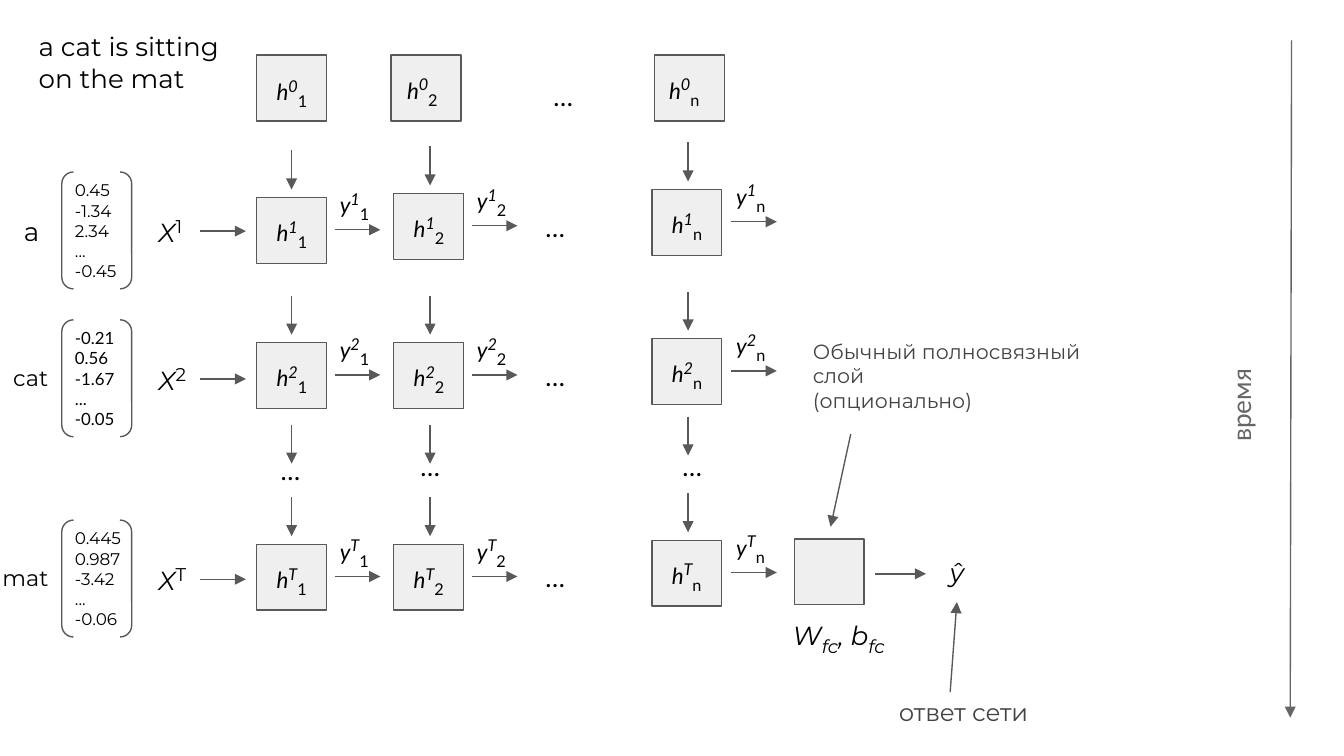
from pptx import Presentation, util as u
from pptx.dml import color
from pptx.enum import shapes, text
from pptx.oxml import ns, xmlchemy

PX = 9144
COLORS = {"ink": "000000", "line": "595959", "box": "EFEFEF",
          "note": "434343", "time": "666666"}
LATO, MONTSERRAT = "Lato", "Montserrat"
ELLIPSIS = "…"
BOX_WIDTH, BOX_HEIGHT = 52, 49


class Diagram:
    def __init__(self, slide):
        self.slide = slide

    def rgb(self, name):
        return color.RGBColor.from_string(COLORS[name])

    def scaled(self, *lengths):
        return [u.Emu(length * PX) for length in lengths]

    def shape(self, kind, left, top, width, height, fill=None):
        shape = self.slide.shapes.add_shape(
            kind, *self.scaled(left, top, width, height))
        shape.shadow.inherit = False
        if fill:
            shape.fill.solid()
            shape.fill.fore_color.rgb = self.rgb(fill)
        else:
            shape.fill.background()
        shape.line.color.rgb = self.rgb("line")
        shape.line.width = u.Pt(0.75)

    def box(self, left, top):
        self.shape(shapes.MSO_SHAPE.RECTANGLE, left, top,
                   BOX_WIDTH, BOX_HEIGHT, "box")

    def bracket(self, left, top):
        self.shape(shapes.MSO_SHAPE.DOUBLE_BRACKET, left, top, 52, 87)

    def arrow(self, x1, y1, x2, y2, ink="line"):
        line = self.slide.shapes.add_connector(
            shapes.MSO_CONNECTOR.STRAIGHT, *self.scaled(x1, y1, x2, y2))
        line.line.color.rgb = self.rgb(ink)
        line.line.width = u.Pt(0.75)
        outline = line.line._get_or_add_ln()
        head = xmlchemy.OxmlElement("a:tailEnd")
        head.set("type", "triangle")
        outline.append(head)
        line._element.find(ns.qn("p:spPr")).append(
            xmlchemy.OxmlElement("a:effectLst"))

    def text(self, left, top, width, height, paragraphs, font, ink="ink",
             rotation=0):
        box = self.slide.shapes.add_textbox(
            *self.scaled(left, top, width, height))
        box.rotation = rotation
        frame = box.text_frame
        frame.word_wrap = True
        frame.auto_size = text.MSO_AUTO_SIZE.SHAPE_TO_FIT_TEXT
        frame.margin_left = frame.margin_right = u.Emu(10 * PX)
        frame.margin_top = frame.margin_bottom = u.Emu(10 * PX)
        for index, runs in enumerate(paragraphs):
            paragraph = frame.add_paragraph() if index else frame.paragraphs[0]
            for words, size, italic, baseline in runs:
                run = paragraph.add_run()
                run.text = words
                run.font.name = font
                run.font.size = u.Pt(size)
                run.font.italic = italic
                run.font.color.rgb = self.rgb(ink)
                if baseline:
                    run._r.get_or_add_rPr().set(
                        "baseline", str(baseline * 1000))

    def plain(self, left, top, width, height, lines, size, font, ink="ink",
              rotation=0):
        self.text(left, top, width, height,
                  [[(line, size, False, 0)] for line in lines],
                  font, ink, rotation)

    def symbol(self, left, top, width, letter, step, unit):
        self.text(left, top, width, 45,
                  [[(letter, 12, True, 0), (step, 15, True, 30),
                    (unit, 15, False, -25)]], LATO)

    def ellipsis(self, left, top):
        self.plain(left, top, 36, 44, [ELLIPSIS], 14, LATO)

    def input_row(self, step, top, values, font):
        self.bracket(46, top)
        self.plain(46, top - 4, 84, 96, values, 9, font)
        self.text(108, top + 19, 60, 49,
                  [[("X", 14, True, 0), (step, 17, False, 30)]], MONTSERRAT)
        self.arrow(149, top + 44, 183, top + 44)

    def cell(self, step, unit, left, top, center, output):
        self.arrow(center, top - 35, center, top - 6)
        self.box(left, top)
        self.symbol(left + 5, top + 2, 58, "h", step, unit)
        self.arrow(output, top + 24, output + 34, top + 24)
        self.symbol(output - 6, top - 19, 67, "y", step, unit)


def main():
    presentation = Presentation()
    presentation.slide_width = u.Emu(1000 * PX)
    presentation.slide_height = u.Emu(presentation.slide_width * 9 // 16)
    slide = presentation.slides.add_slide(presentation.slide_layouts[6])
    diagram = Diagram(slide)

    diagram.plain(19, 13, 157, 67, ["a cat is sitting on the mat"],
                  14, MONTSERRAT)
    diagram.plain(8, 150, 45, 44, ["a"], 14, MONTSERRAT)
    diagram.plain(0, 261, 88, 40, ["cat"], 12, MONTSERRAT)
    diagram.plain(-8, 410, 60, 40, ["mat"], 12, MONTSERRAT)

    inputs = [
        ("1", 128, ["0.45", "-1.34", "2.34", "...", "-0.45"], MONTSERRAT),
        ("2", 238, ["-0.21", "0.56", "-1.67", "...", "-0.05"], LATO),
        ("T", 387, ["0.445", "0.987", "-3.42", "...", "-0.06"], MONTSERRAT),
    ]
    for row in inputs:
        diagram.input_row(*row)

    for unit, left, text_left, text_top in [
            ("1", 191, 196, 44), ("2", 291, 293, 43), ("n", 487, 488, 43)]:
        diagram.box(left, 41)
        diagram.symbol(text_left, text_top, 58, "h", "0", unit)

    columns = [
        ("1", 191, 217, 249, (147, 255, 405), 316),
        ("2", 293, 320, 351, (144, 255, 405), 316),
        ("n", 485, 512, 544, (141, 252, 402), 310),
    ]
    for unit, left, center, output, tops, skipped in columns:
        for step, top in zip("12T", tops):
            diagram.cell(step, unit, left, top, center, output)
        diagram.arrow(center, skipped, center, skipped + 29)

    for left, top in [(402, 50), (396, 147), (396, 258), (396, 408),
                      (199, 328), (303, 325), (498, 325)]:
        diagram.ellipsis(left, top)

    diagram.plain(595, 242, 223, 76,
                  ["Обычный полносвязный слой", "(опционально)"],
                  11, MONTSERRAT, "note")
    diagram.arrow(633, 323, 618, 392)
    diagram.box(591, 401)
    diagram.text(580, 447, 145, 49,
                 [[("W", 14, True, 0), ("fc", 17, True, -25),
                   (", b", 14, True, 0), ("fc", 17, True, -25)]], MONTSERRAT)
    diagram.arrow(651, 427, 689, 427)
    diagram.text(697, 404, 67, 44, [[("ŷ", 14, True, 0)]], MONTSERRAT)
    diagram.arrow(707, 515, 712, 448)
    diagram.plain(659, 509, 171, 42, ["ответ сети"], 13, MONTSERRAT, "note")

    diagram.arrow(961, 30, 960, 534, "time")
    diagram.plain(884, 277, 79, 44, ["время"], 14, LATO, "time", 270)

    presentation.save("out.pptx")


if __name__ == "__main__":
    main()
